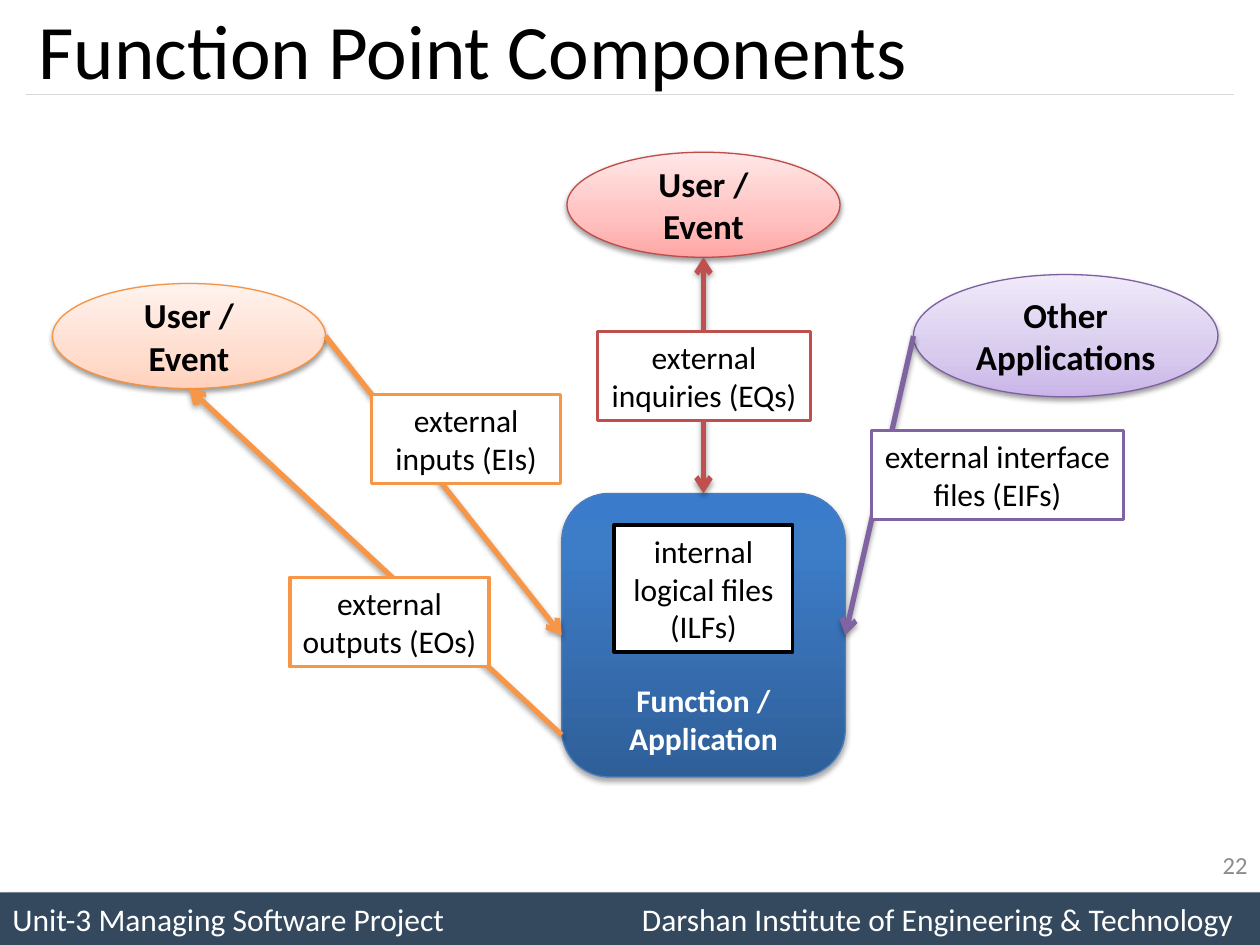
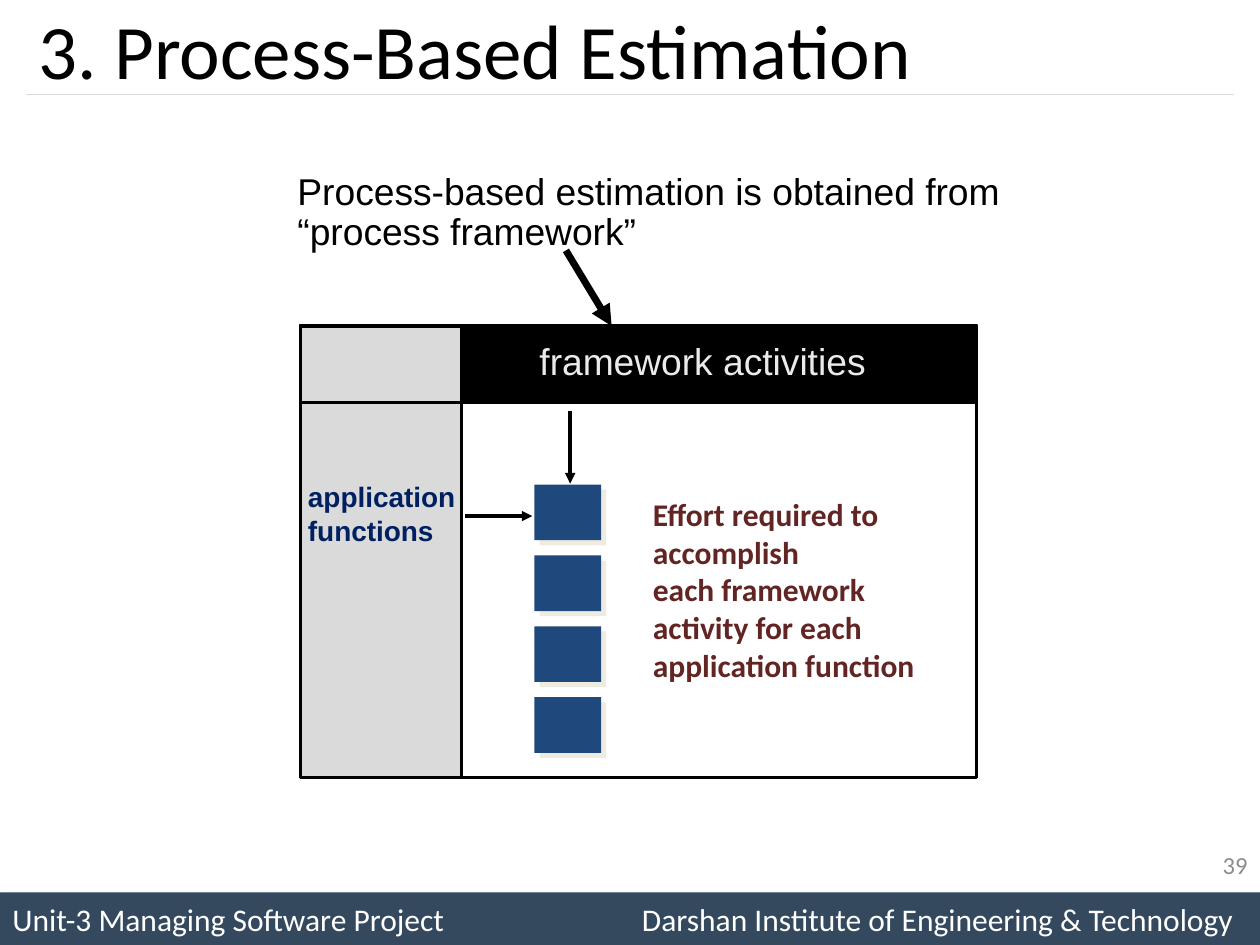
from collections import namedtuple

from lxml import etree
from pptx import Presentation
from pptx.dml.color import RGBColor
from pptx.enum.shapes import MSO_CONNECTOR, MSO_SHAPE
from pptx.enum.text import MSO_ANCHOR, PP_ALIGN
from pptx.oxml.ns import qn
from pptx.util import Inches, Pt

RECTANGLE, ROUNDED, OVAL = MSO_SHAPE.RECTANGLE, MSO_SHAPE.ROUNDED_RECTANGLE, MSO_SHAPE.OVAL
STRAIGHT = MSO_CONNECTOR.STRAIGHT
TOP, MIDDLE, BOTTOM = MSO_ANCHOR.TOP, MSO_ANCHOR.MIDDLE, MSO_ANCHOR.BOTTOM
LEFT, CENTER, RIGHT = PP_ALIGN.LEFT, PP_ALIGN.CENTER, PP_ALIGN.RIGHT

# The slide is a grid of 240 columns by 180 rows; every length is in cells.
COLUMNS, ROWS = 240, 180
CELL = Inches(10) / COLUMNS
Box = namedtuple("Box", "left top width height")

BAND = Box(0, 170, COLUMNS, 10)
TITLE = Box(5, -1.2, 230, 21)
PAGE_NUMBER = Box(184, 160, 56, 9.6)
DIAGRAM = Box(10, 29, 222, 119)
INTRODUCTION = Box(54.5, 32, 147.6, 17.5)
MATRIX = Box(57.2, 62.1, 128.8, 86)

BLACK, WHITE, GRAY, RULE, SLATE = "000000", "FFFFFF", "8C8C8C", "D9D9D9", "34495E"
ORANGE, RED, PURPLE = "F79646", "C0504D", "8064A2"
NAVY, MAROON, BLUE, PALE, OFF_WHITE = "002060", "632523", "1F497D", "DADADA", "EAEAEA"

Gradient = namedtuple("Gradient", "stops")
BLUE_GRADIENT = Gradient([(0, "2F5F99"), (80, "3D7CC7"), (100, "3A7CCB")])
RED_GRADIENT = Gradient([(0, "FFA6A5"), (35, "FFC0BF"), (100, "FFE7E7")])
ORANGE_GRADIENT = Gradient([(0, "FFD2BD"), (35, "FFDED0"), (100, "FFF2ED")])
PURPLE_GRADIENT = Gradient([(0, "C9B5E8"), (35, "D8CBEE"), (100, "F0EAF9")])

# Blur and distance are in points, direction in degrees.
Shadow = namedtuple("Shadow", "color opacity blur distance direction")
BAND_SHADOW = Shadow(BLACK, 40, 4, 3, 45)
OVAL_SHADOW = Shadow(BLACK, 38, 3.1, 1.6, 90)
SOFT_SHADOW = Shadow(BLACK, 35, 3.1, 1.8, 90)
SQUARE_SHADOW = Shadow("EEECE1", 100, 0, 4.2, 45)

SMALL_INSETS = (0.09, 0.04)


def rgb(color):
    return RGBColor.from_string(color)


def cells(*counts):
    return [round(count * CELL) for count in counts]


def within(region, left, top, width, height):
    """Turn a box measured from a region's corner into a slide box."""
    return Box(region.left + left, region.top + top, width, height)


def add_element(parent, tag, **attributes):
    element = etree.SubElement(parent, qn(tag))
    for name, value in attributes.items():
        element.set(name, str(value))
    return element


def set_effects(shape, shadow):
    """Replace the theme shadow by the given one, or by none."""
    effects = add_element(shape._element.spPr, "a:effectLst")
    if shadow:
        outer = add_element(effects, "a:outerShdw", blurRad=Pt(shadow.blur),
                            dist=Pt(shadow.distance), dir=shadow.direction * 60000,
                            algn="ctr", rotWithShape=0)
        color = add_element(outer, "a:srgbClr", val=shadow.color)
        add_element(color, "a:alpha", val=shadow.opacity * 1000)


def set_fill(shape, fill):
    if fill is None:
        shape.fill.background()
    elif isinstance(fill, Gradient):
        shape.fill.gradient()
        shape.fill.gradient_angle = 90
        stop_list = shape._element.spPr.find(qn("a:gradFill")).find(qn("a:gsLst"))
        stop_list.clear()
        for position, color in fill.stops:
            stop = add_element(stop_list, "a:gs", pos=position * 1000)
            add_element(stop, "a:srgbClr", val=color)
    else:
        shape.fill.solid()
        shape.fill.fore_color.rgb = rgb(fill)


def write(shape, text, size, color, bold=False, font="Calibri", align=LEFT,
          anchor=MIDDLE, insets=(0.1, 0.05), spacing=None, wrap=True):
    frame = shape.text_frame
    frame.text = text
    frame.word_wrap = wrap
    frame.vertical_anchor = anchor
    frame.margin_left = frame.margin_right = Inches(insets[0])
    frame.margin_top = frame.margin_bottom = Inches(insets[1])
    for paragraph in frame.paragraphs:
        paragraph.alignment = align
        paragraph.line_spacing = spacing
        for run in paragraph.runs:
            run.font.name, run.font.size, run.font.bold = font, Pt(size), bold
            run.font.color.rgb = rgb(color)


def add_text(slide, box, text, size, color, **style):
    write(slide.shapes.add_textbox(*cells(*box)), text, size, color, **style)


def add_figure(slide, kind, box, fill=None, line=None, width=2, shadow=None):
    shape = slide.shapes.add_shape(kind, *cells(*box))
    set_fill(shape, fill)
    if line:
        shape.line.color.rgb = rgb(line)
        shape.line.width = Pt(width)
    else:
        shape.line.fill.background()
    set_effects(shape, shadow)
    return shape


def add_line(slide, region, start, end, color, width, start_head=None, end_head=None, shadow=None):
    points = [region.left + start[0], region.top + start[1],
              region.left + end[0], region.top + end[1]]
    connector = slide.shapes.add_connector(STRAIGHT, *cells(*points))
    connector.line.color.rgb = rgb(color)
    connector.line.width = Pt(width)
    outline = connector._element.spPr.find(qn("a:ln"))
    for tag, head in (("a:headEnd", start_head), ("a:tailEnd", end_head)):
        if head:
            add_element(outline, tag, type=head)
    set_effects(connector, shadow)


def add_footer(slide, box):
    band = add_figure(slide, RECTANGLE, box, SLATE, shadow=BAND_SHADOW)
    write(band, "Unit-3 Managing Software Project\tDarshan Institute of Engineering & Technology",
          18, WHITE)
    properties = band.text_frame.paragraphs[0]._p.get_or_add_pPr()
    tabs = add_element(properties, "a:tabLst")
    add_element(tabs, "a:tab", pos=Inches(9.69), algn="r")


def add_base_slide(presentation, title, number):
    slide = presentation.slides.add_slide(presentation.slide_layouts[6])
    add_footer(slide, BAND)
    add_line(slide, TITLE, (0, 19.2), (TITLE.width, 19.2), RULE, 0.75)
    add_text(slide, TITLE, title, 44, BLACK)
    add_text(slide, PAGE_NUMBER, str(number), 14, GRAY, align=RIGHT)
    return slide


def draw_components(slide, region):
    application = add_figure(slide, ROUNDED, within(region, 97, 65, 54, 54),
                             BLUE_GRADIENT, "4B7EBC", 0.75, SOFT_SHADOW)
    write(application, "Function / Application", 18, WHITE, bold=True,
          align=CENTER, anchor=BOTTOM)

    actors = [
        ("User / Event", (98, 0, 52, 20), RED_GRADIENT, "BF4C48"),
        ("User / Event", (0, 25, 52, 20), ORANGE_GRADIENT, "F69240"),
        ("Other Applications", (164, 23.3, 58, 23.3), PURPLE_GRADIENT, "7D60A0"),
    ]
    for text, place, gradient, line in actors:
        actor = add_figure(slide, OVAL, within(region, *place), gradient, line, 0.75, OVAL_SHADOW)
        write(actor, text, 20, BLACK, bold=True, align=CENTER)

    flows = [
        ((52, 35), (97, 92), ORANGE, None),
        ((97, 111), (26, 45), ORANGE, None),
        ((124, 20), (124, 65), RED, "arrow"),
        ((164, 35), (151, 92), PURPLE, None),
    ]
    for start, end, color, start_head in flows:
        add_line(slide, region, start, end, color, 3, start_head, "arrow", SOFT_SHADOW)

    labels = [
        ("external inquiries (EQs)", (103.8, 34.1, 40.6, 17), RED),
        ("external outputs (EOs)", (45.2, 81, 38, 17), ORANGE),
        ("external inputs (EIs)", (60.8, 46.1, 36, 17), ORANGE),
        ("external interface files (EIFs)", (156, 53, 48, 17), PURPLE),
        ("internal logical files (ILFs)", (107, 71, 34, 24.2), BLACK),
    ]
    for text, place, color in labels:
        label = add_figure(slide, RECTANGLE, within(region, *place), WHITE, color)
        write(label, text, 18, BLACK, align=CENTER)


def draw_matrix(slide, region):
    side_width, body_left, header_height = 30.7, 31.2, 14.6
    body_width = region.width - body_left
    add_figure(slide, RECTANGLE, region, line=BLACK)
    add_figure(slide, RECTANGLE, within(region, 0, 0, side_width, region.height), PALE, BLACK)
    add_figure(slide, RECTANGLE, within(region, body_left, 0, body_width, header_height),
               BLACK, BLACK)
    add_figure(slide, RECTANGLE, within(region, 0, 0, side_width, header_height), line=BLACK)

    add_text(slide, within(region, -0.7, 28.3, 32.6, 15.1), "application\nfunctions", 16, NAVY,
             bold=True, font="Arial", anchor=TOP, insets=SMALL_INSETS, wrap=False)
    add_text(slide, within(region, 43.4, 1.4, 67.2, 10.8), "framework activities", 21.3,
             OFF_WHITE, font="Arial", anchor=TOP, insets=SMALL_INSETS, wrap=False)
    add_text(slide, within(region, 65, 31.2, 57.4, 38.4),
             "Effort required to accomplish\n"
             "each framework activity for each application function",
             18, MAROON, bold=True, anchor=TOP, insets=SMALL_INSETS)

    square_pitch = 13.5
    for index in range(4):
        add_figure(slide, RECTANGLE,
                   within(region, 44.6, 30.2 + index * square_pitch, 12.7, 10.6),
                   BLUE, shadow=SQUARE_SHADOW)

    arrows = [
        ((50.6, -14.4), (59.3, 0), 4),
        ((51.4, 16.1), (51.4, 30), 2),
        ((31.4, 36.2), (44.2, 36.2), 2),
    ]
    for start, end, width in arrows:
        add_line(slide, region, start, end, BLACK, width, end_head="triangle")


def main():
    presentation = Presentation()
    presentation.slide_width, presentation.slide_height = cells(COLUMNS, ROWS)

    components = add_base_slide(presentation, "Function Point Components", 22)
    draw_components(components, DIAGRAM)

    estimation = add_base_slide(presentation, "3. Process-Based Estimation", 39)
    add_text(estimation, INTRODUCTION,
             "Process-based estimation is obtained from “process framework”", 21.3, BLACK,
             font="Arial", anchor=TOP, insets=SMALL_INSETS, spacing=0.9)
    draw_matrix(estimation, MATRIX)

    presentation.save("out.pptx")


if __name__ == "__main__":
    main()
